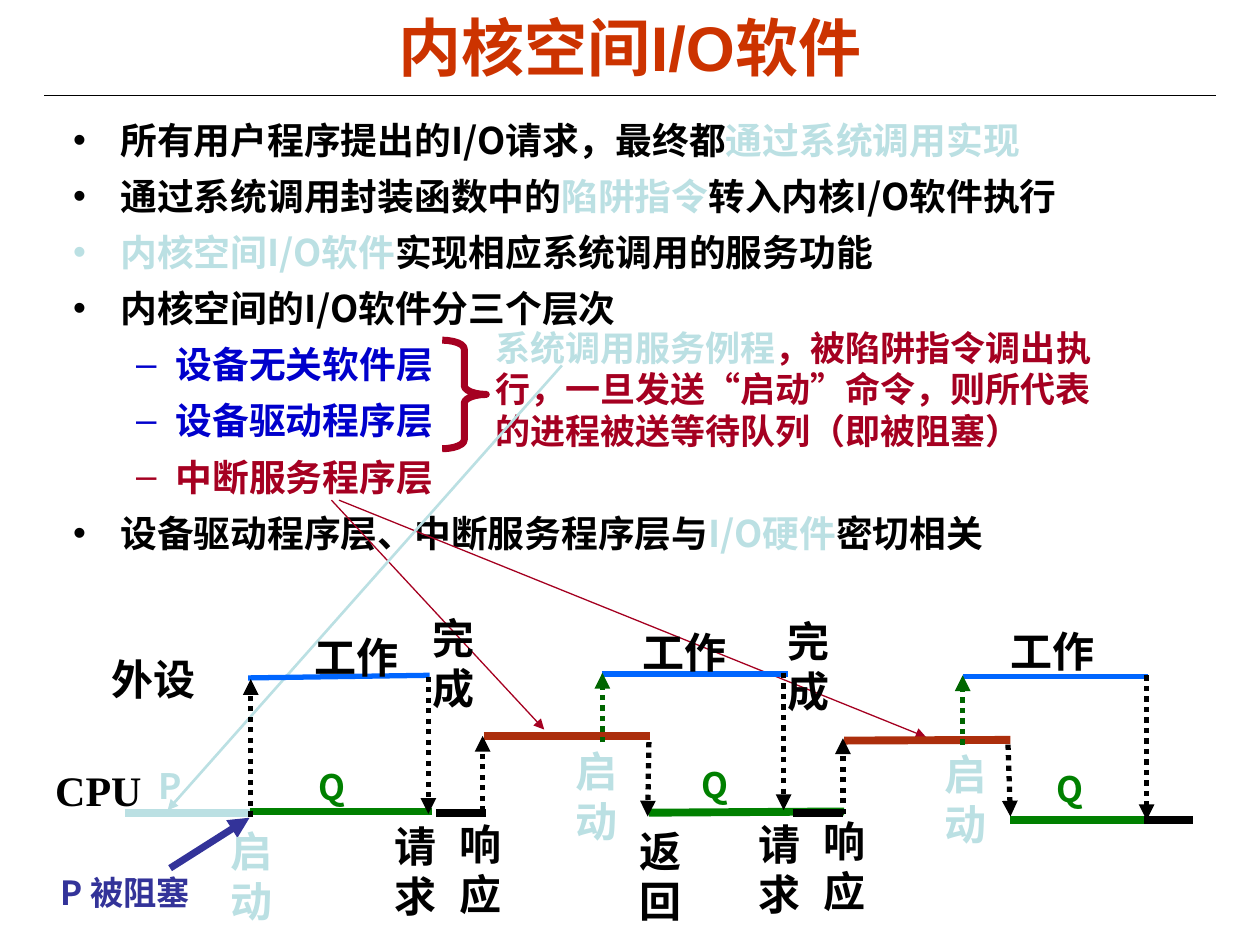
import pptx
import pptx.util
import pptx.dml.color
import pptx.enum.dml
import pptx.enum.shapes
import pptx.enum.text
import pptx.oxml.ns
import lxml.etree

Pt = pptx.util.Pt
qn = pptx.oxml.ns.qn
SANS, SERIF = "Noto Sans CJK SC", "Times New Roman"
BLACK, PALE, RED, GREEN = "000000", "BBE0E3", "A50021", "008000"
NAVY, BLUE, RUST, MOSS = "0000CC", "0066FF", "AC2E0C", "006600"
VIOLET, ORANGE = "333399", "CC3300"


def rgb(code):
    return pptx.dml.color.RGBColor.from_string(code)


def sub(node, tag, **attrs):
    return lxml.etree.SubElement(node, qn(tag), attrs)


class Board:
    """Style and current slide; all lengths are in points."""

    def __init__(self, deck):
        self.slide = deck.slides.add_slide(deck.slide_layouts[1])
        self.shapes = self.slide.shapes

    def place(self, shape, x, y, w, h):
        shape.left, shape.top, shape.width, shape.height = map(Pt, (x, y, w, h))

    def frame(self, shape, size):
        frame = shape.text_frame
        frame.word_wrap = True
        frame.auto_size = pptx.enum.text.MSO_AUTO_SIZE.NONE
        frame.vertical_anchor = pptx.enum.text.MSO_ANCHOR.TOP
        frame.margin_left = frame.margin_right = Pt(7.2)
        frame.margin_top, frame.margin_bottom = Pt(3.6 + 0.11 * size), Pt(0)
        return frame

    def style(self, para, size, color, face):
        font = para.font
        font.size, font.bold = Pt(size), True
        font.color.rgb = rgb(color)
        font.name = face
        sub(para._p.pPr.find(qn("a:defRPr")), "a:ea", typeface=SANS)

    def fill(self, para, runs, size, face, pitch=1.19):
        """Fill a paragraph with (text, colour) runs."""
        para.line_spacing = Pt(round(pitch * size, 1))
        self.style(para, size, runs[0][1], face)
        for text, color in runs:
            run = para.add_run()
            run.text = text
            if len(runs) > 1:
                run.font.color.rgb = rgb(color)

    def title(self, text, x, y, w, h):
        shape = self.shapes.title
        self.place(shape, x, y, w, h)
        frame = shape.text_frame
        frame.vertical_anchor = pptx.enum.text.MSO_ANCHOR.MIDDLE
        para = frame.paragraphs[0]
        para.text = text
        para.alignment = pptx.enum.text.PP_ALIGN.CENTER
        self.style(para, 36, ORANGE, "Arial")

    def bullets(self, items, x, y, w, h, size=21):
        shape = self.slide.placeholders[1]
        self.place(shape, x, y, w, h)
        frame = self.frame(shape, size)
        for i, (level, runs) in enumerate(items):
            para = frame.add_paragraph() if i else frame.paragraphs[0]
            para.level = level
            para.space_before = Pt(3.15 if i else 0)
            props = para._p.get_or_add_pPr()
            left, hang = ((27, 27), (58.5, 22.5))[level]
            props.set("marL", str(Pt(left)))
            props.set("indent", str(-Pt(hang)))
            sub(sub(props, "a:buClr"), "a:srgbClr", val=runs[0][1])
            sub(props, "a:buFont", typeface="Arial")
            sub(props, "a:buChar", char="•–"[level])
            self.fill(para, runs, size, SANS, 1.375)

    def text(self, runs, x, y, w, h, size=24, face=SERIF):
        box = self.shapes.add_textbox(Pt(x), Pt(y), Pt(w), Pt(h))
        self.fill(self.frame(box, size).paragraphs[0], runs, size, face)

    def line(self, x1, y1, x2, y2, color, width, arrow=False, dots=False):
        kind = pptx.enum.shapes.MSO_CONNECTOR.STRAIGHT
        link = self.shapes.add_connector(kind, Pt(x1), Pt(y1), Pt(x2), Pt(y2))
        link.line.color.rgb, link.line.width = rgb(color), Pt(width)
        if dots:
            link.line.dash_style = pptx.enum.dml.MSO_LINE.ROUND_DOT
        props = link._element.spPr
        if arrow:
            sub(props.find(qn("a:ln")), "a:tailEnd", type="triangle")
        sub(props, "a:effectLst")

    def brace(self, x, y, w, h, color, width):
        kind = pptx.enum.shapes.MSO_SHAPE.RIGHT_BRACE
        shape = self.shapes.add_shape(kind, Pt(x), Pt(y), Pt(w), Pt(h))
        shape.adjustments[0], shape.adjustments[1] = 0.2, 0.5
        shape.shadow.inherit = False
        shape.fill.background()
        shape.line.color.rgb, shape.line.width = rgb(color), Pt(width)


def main():
    deck = pptx.Presentation()
    deck.slide_width, deck.slide_height = Pt(720), Pt(540)
    board = Board(deck)

    # Heading and list
    board.line(25.2, 54.7, 694.8, 54.7, BLACK, 0.75)
    board.title("内核空间I/O软件", 36, 4.3, 648, 44)
    board.bullets([
        (0, [("所有用户程序提出的I/O请求，最终都", BLACK), ("通过系统调用实现", PALE)]),
        (0, [("通过系统调用封装函数中的", BLACK), ("陷阱指令", PALE),
             ("转入内核I/O软件执行", BLACK)]),
        (0, [("内核空间I/O软件", PALE), ("实现相应系统调用的服务功能", BLACK)]),
        (0, [("内核空间的I/O软件分三个层次", BLACK)]),
        (1, [("设备无关软件层", NAVY)]),
        (1, [("设备驱动程序层", NAVY)]),
        (1, [("中断服务程序层", RED)]),
        (0, [("设备驱动程序层、中断服务程序层与", BLACK), ("I/O硬件", PALE),
             ("密切相关", BLACK)]),
    ], 34.6, 57.6, 645, 262)

    # Brace with its remark
    board.brace(252.7, 194.4, 25.2, 62, RED, 4)
    board.text([("系统调用服务例程", PALE),
                ("，被陷阱指令调出执行，一旦发送“启动”命令，则所代表的进程被送等待队列（即被阻塞）", RED)],
               275.8, 180.7, 364.3, 79.2, 20, SANS)

    # Pointers from the list to the timeline
    board.line(189.4, 285.8, 311, 416.9, RED, 0.75, True)
    board.line(193.7, 285.8, 529.2, 421.2, RED, 0.75, True)
    board.line(321.1, 208.8, 95.8, 463, PALE, 1.5, True)

    # Timeline bars: device work, interrupt service, processes
    for bar in [
        (71.3, 464.4, 143.3, 464.4, PALE, 4.5),
        (141.8, 387.4, 245.5, 385.9, BLUE, 3),
        (344.2, 385.2, 450, 385.2, BLUE, 3),
        (550.1, 386.6, 655.9, 386.6, BLUE, 3),
        (276.5, 420.5, 371.5, 420.5, RUST, 4.5),
        (482.4, 423.2, 577.4, 422.8, RUST, 4.5),
        (142.6, 463.7, 247, 463.7, GREEN, 4),
        (370.8, 464.4, 482.4, 463.7, GREEN, 4.5),
        (577.4, 468.7, 677.5, 468.7, GREEN, 4.5),
        (249.1, 464.4, 277.9, 464.4, BLACK, 4.5),
        (452.9, 464.4, 481.7, 464.4, BLACK, 4.5),
        (653.8, 468.7, 681.8, 468.7, BLACK, 4.5),
    ]:
        board.line(*bar)

    # Dotted arrows between the bars
    for x1, y1, x2, y2, color in [
        (143.3, 466.6, 143.3, 388.1, BLACK),
        (244.8, 386.6, 244.8, 465.1, BLACK),
        (275.8, 463.7, 275.8, 420.5, BLACK),
        (344.2, 424.1, 344.2, 384.5, MOSS),
        (370.8, 424.1, 370.1, 466.6, BLACK),
        (447.8, 384.5, 447.8, 463, BLACK),
        (481.7, 465.1, 481.7, 421.9, BLACK),
        (550.1, 425.5, 550.1, 385.9, MOSS),
        (576, 425.5, 577.4, 466.6, BLACK),
        (655.2, 385.9, 655.2, 468.7, BLACK),
    ]:
        board.line(x1, y1, x2, y2, color, 3, True, True)
    board.line(97.2, 496.1, 142.6, 467.3, VIOLET, 4, True)

    # Row names and labels: text, colour, width, height, places
    for text, color, w, h, spots in [
        ("外设", BLACK, 67.7, 36, [(56.9, 367.2)]),
        ("CPU", BLACK, 67.7, 36, [(24.5, 430.6)]),
        ("工作", BLACK, 83.5, 36, [(172.8, 355), (360, 352.1), (570.2, 351.4)]),
        ("完成", BLACK, 36, 64.8, [(239.8, 344.2), (442.8, 345.6)]),
        ("启动", PALE, 38.9, 64.8, [(124.6, 465.8), (321.8, 419.8), (532.8, 421.9)]),
        ("请求", BLACK, 41, 64.8, [(218.2, 463), (426.2, 461.5)]),
        ("响应", BLACK, 41, 64.8, [(255.6, 461.5), (463.7, 460.1)]),
        ("返回", BLACK, 41, 64.8, [(358.6, 465.8)]),
    ]:
        for x, y in spots:
            board.text([(text, color)], x, y, w, h)

    # Process names
    for x, y in [(175, 432), (393.8, 430.6), (596.9, 432.7)]:
        board.text([("Q", GREEN)], x, y, 49, 31, 20, SANS)
    board.text([("P", PALE)], 83.5, 431.3, 35.3, 31, 20, SANS)
    board.text([("P 被阻塞", VIOLET)], 27.4, 493.2, 99.4, 30.2, 19, SANS)

    deck.save("out.pptx")


if __name__ == "__main__":
    main()
